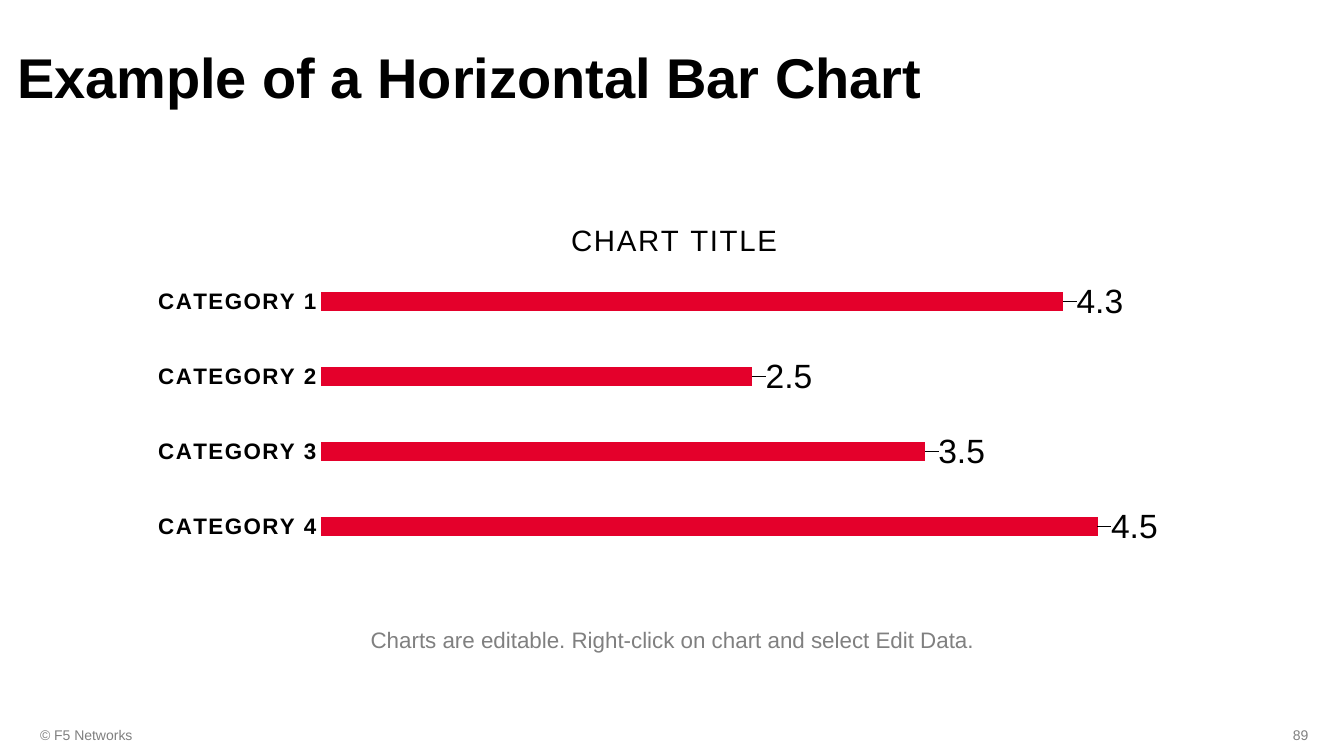
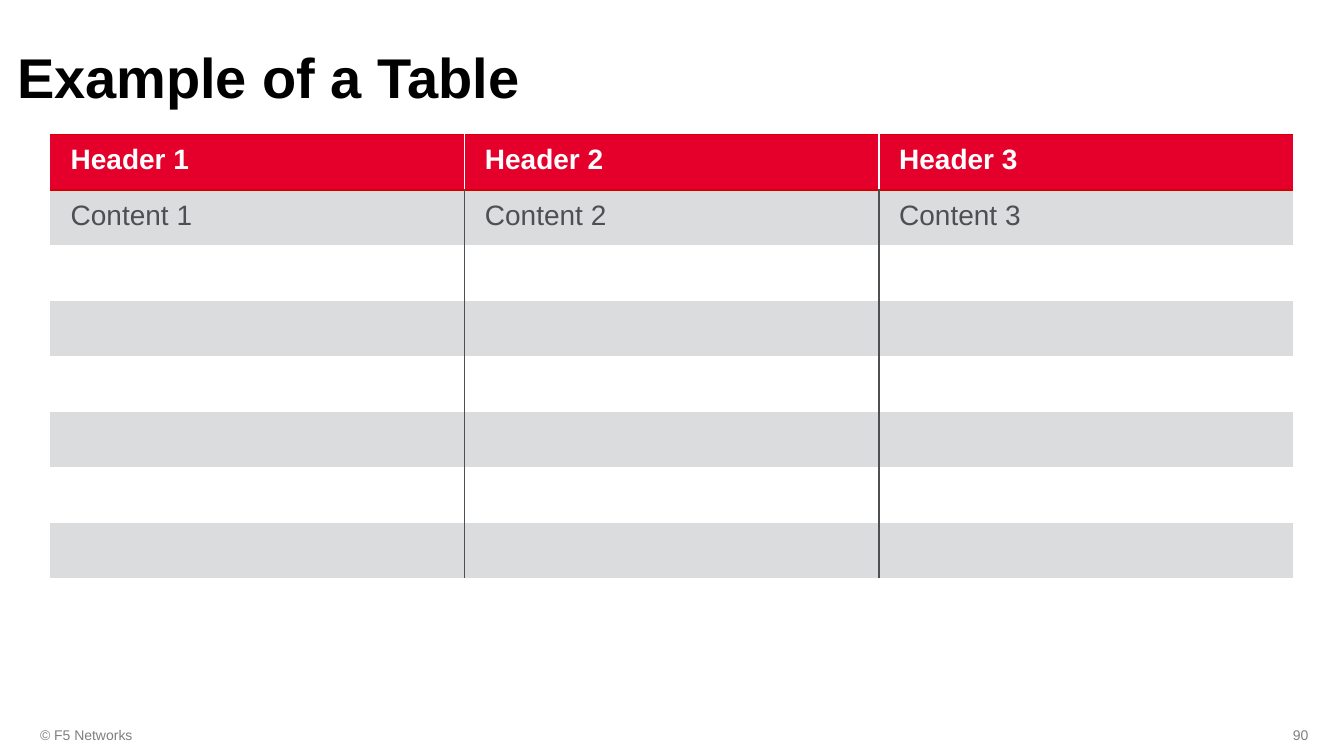
import pptx
import pptx.chart.data
import pptx.dml.color
import pptx.enum.chart
import pptx.enum.text
import pptx.oxml
import pptx.oxml.ns
import pptx.util
from pptx.util import Cm

FONT = "Arial"
COLORS = {
    "black": "000000",
    "white": "FFFFFF",
    "red": "E4002B",
    "header_edge": "D60000",
    "dark": "4D4F53",
    "muted": "808080",
    "band": "DBDCDD",
}
INSET = Cm(0.43)
LETTER_SPACING = "120"
TITLE_ONLY = 5
FIRST_PAGE = 89
ALIGN = pptx.enum.text.PP_ALIGN
ANCHOR = pptx.enum.text.MSO_ANCHOR


def rgb(name):
    return pptx.dml.color.RGBColor.from_string(COLORS[name])


def style_font(font, size, color, bold=False):
    font.name = FONT
    font.size = pptx.util.Pt(size)
    font.bold = bold
    font.color.rgb = rgb(color)


def write_text(frame, text, size, color, bold=False, align=ALIGN.LEFT):
    paragraph = frame.paragraphs[0]
    paragraph.alignment = align
    run = paragraph.add_run()
    run.text = text
    style_font(run.font, size, color, bold)
    return paragraph


def format_frame(frame, anchor):
    frame.word_wrap = True
    frame.vertical_anchor = anchor
    frame.margin_left = frame.margin_right = INSET
    frame.margin_top = frame.margin_bottom = INSET


def add_text(slide, box, text, size, align=ALIGN.LEFT, anchor=ANCHOR.TOP):
    frame = slide.shapes.add_textbox(*box).text_frame
    format_frame(frame, anchor)
    write_text(frame, text, size, "muted", align=align)


def add_slide(presentation, title, page):
    slide = presentation.slides.add_slide(presentation.slide_layouts[TITLE_ONLY])
    shape = slide.shapes.title
    shape.left, shape.top, shape.width, shape.height = Cm(0), Cm(0.84), Cm(32.18), Cm(2.41)
    format_frame(shape.text_frame, ANCHOR.TOP)
    paragraph = write_text(shape.text_frame, title, 40, "black", True)
    paragraph.line_spacing = 0.9
    footer_top, footer_height = Cm(18.01), Cm(1.02)
    add_text(slide, (Cm(0.58), footer_top, Cm(11.43), footer_height),
             "© F5 Networks", 10, anchor=ANCHOR.MIDDLE)
    add_text(slide, (Cm(25.02), footer_top, Cm(8.38), footer_height),
             str(page), 10, ALIGN.RIGHT, ANCHOR.MIDDLE)
    return slide


def set_layout(parent, index, **values):
    for layout in parent.findall(pptx.oxml.ns.qn("c:layout")):
        parent.remove(layout)
    items = "".join(f'<c:{key} val="{value}"/>' for key, value in values.items())
    parent.insert(index, pptx.oxml.parse_xml(
        f'<c:layout {pptx.oxml.ns.nsdecls("c")}>'
        f"<c:manualLayout>{items}</c:manualLayout></c:layout>"))


def space_letters(element):
    for name in ("a:defRPr", "a:rPr"):
        for properties in element.iter(pptx.oxml.ns.qn(name)):
            properties.set("spc", LETTER_SPACING)


def add_bar_chart(slide, box, title, categories, values):
    data = pptx.chart.data.CategoryChartData()
    data.categories = categories
    data.add_series("Series 1", values)
    chart = slide.shapes.add_chart(
        pptx.enum.chart.XL_CHART_TYPE.BAR_STACKED, *box, data).chart
    style_font(chart.font, 10, "dark")
    chart.has_legend = False

    chart.has_title = True
    write_text(chart.chart_title.text_frame, title, 21, "black", align=ALIGN.CENTER)
    title_element = chart.chart_title._element
    space_letters(title_element)
    set_layout(title_element, 1, xMode="edge", yMode="edge", x=0.4, y=0.04)

    category_axis = chart.category_axis
    category_axis.reverse_order = True
    category_axis.major_tick_mark = pptx.enum.chart.XL_TICK_MARK.NONE
    category_axis.format.line.fill.background()
    style_font(category_axis.tick_labels.font, 16, "black", True)
    space_letters(category_axis._element)
    value_axis = chart.value_axis
    value_axis.minimum_scale, value_axis.maximum_scale = 0, 5
    value_axis.has_major_gridlines = False
    value_axis.visible = False

    plot = chart.plots[0]
    plot.gap_width = 294
    plot.vary_by_categories = False
    series = plot.series[0]
    series.format.fill.solid()
    series.format.fill.fore_color.rgb = rgb("red")
    labels = series.data_labels
    labels.show_value = True
    labels.position = pptx.enum.chart.XL_LABEL_POSITION.INSIDE_END
    style_font(labels.font, 24, "black")
    for index in range(len(values)):
        label = series.points[index].data_label
        style_font(label.font, 24, "black")
        label.position = pptx.enum.chart.XL_LABEL_POSITION.INSIDE_END
        set_layout(label._dLbl, 1, x=0.06, y=0)
    set_layout(chart._chartSpace.chart.plotArea, 0, layoutTarget="inner",
               xMode="edge", yMode="edge", x=0.17, y=0.17, w=0.81, h=0.81)


def set_borders(cell, edges):
    properties = cell._tc.get_or_add_tcPr()
    for side in "LRTB":
        color = edges.get(side)
        fill = (f'<a:solidFill><a:srgbClr val="{COLORS[color]}"/></a:solidFill>'
                if color else "<a:noFill/>")
        properties.append(pptx.oxml.parse_xml(
            f'<a:ln{side} {pptx.oxml.ns.nsdecls("a")} w="12700">{fill}</a:ln{side}>'))


def cell_edges(row, column, last_column):
    inner = "dark" if row else "white"
    edges = {}
    if column > 0:
        edges["L"] = inner
    if column < last_column:
        edges["R"] = inner
    if row <= 1:
        edges["T"] = "header_edge"
    if row == 0:
        edges["B"] = "header_edge"
    return edges


def add_banded_table(slide, box, texts, row_count):
    column_count = len(texts[0])
    table = slide.shapes.add_table(row_count, column_count, *box).table
    for row in range(row_count):
        for column in range(column_count):
            cell = table.cell(row, column)
            cell.margin_left = cell.margin_right = Cm(0.51)
            cell.margin_top = cell.margin_bottom = Cm(0.25)
            set_borders(cell, cell_edges(row, column, column_count - 1))
            cell.fill.solid()
            fill = "red" if row == 0 else ("band" if row % 2 else "white")
            cell.fill.fore_color.rgb = rgb(fill)
            if row < len(texts):
                write_text(cell.text_frame, texts[row][column], 20,
                           "dark" if row else "white", row == 0)


def main():
    presentation = pptx.Presentation()
    presentation.slide_width, presentation.slide_height = Cm(33.87), Cm(19.05)

    slide = add_slide(presentation, "Example of a Horizontal Bar Chart", FIRST_PAGE)
    add_text(slide, (Cm(8.79), Cm(15.44), Cm(16.31), Cm(1.55)),
             "Charts are editable. Right-click on chart and select Edit Data.",
             16, ALIGN.CENTER)
    add_bar_chart(slide, (Cm(3.51), Cm(5.08), Cm(26.87), Cm(9.32)), "CHART TITLE",
                  [f"CATEGORY {number}" for number in range(1, 5)],
                  [4.3, 2.5, 3.5, 4.5])

    slide = add_slide(presentation, "Example of a Table", FIRST_PAGE + 1)
    texts = [[f"{word} {number}" for number in range(1, 4)]
             for word in ("Header", "Content")]
    add_banded_table(slide, (Cm(1.27), Cm(3.39), Cm(31.32), Cm(11.18)), texts, 8)

    presentation.save("out.pptx")


if __name__ == "__main__":
    main()
